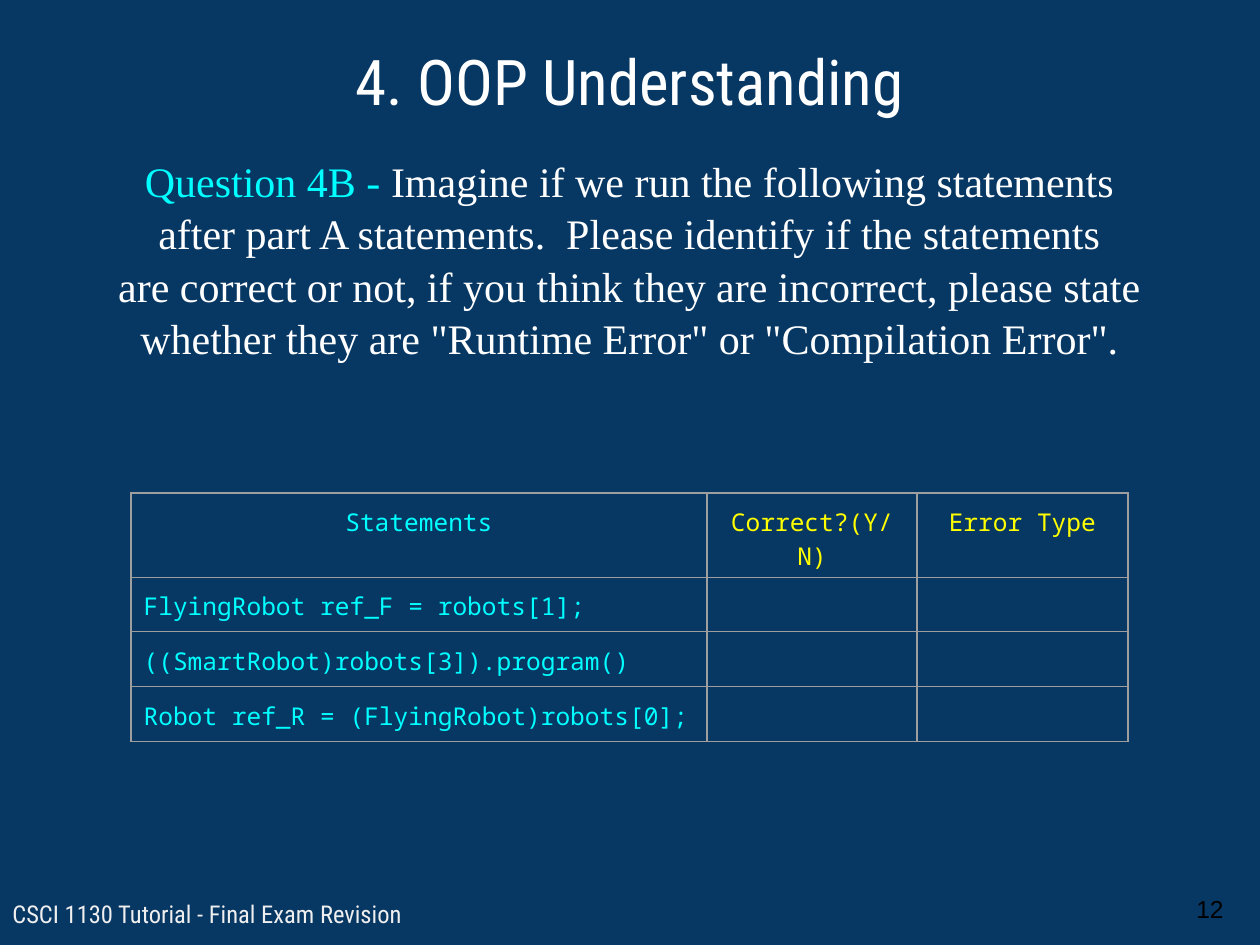
from pptx import Presentation
from pptx.dml.color import RGBColor
from pptx.enum.text import MSO_ANCHOR as ANCHOR, PP_ALIGN as ALIGN
from pptx.oxml import parse_xml
from pptx.oxml.ns import nsdecls
from pptx.util import Emu, Pt

PX = 914400 / 126  # EMU per px
NAVY = RGBColor(0x07, 0x37, 0x63)
WHITE = RGBColor(0xFF, 0xFF, 0xFF)
PALE = RGBColor(0xEF, 0xEF, 0xEF)
BLACK = RGBColor(0, 0, 0)
CYAN = RGBColor(0, 0xFF, 0xFF)
YELLOW = RGBColor(0xFF, 0xFF, 0)
BORDER = RGBColor(0x9E, 0x9E, 0x9E)
INSET = Emu(91440)


def px(n):
    return Emu(round(n * PX))


def write(p, runs, font, size, align=ALIGN.LEFT):
    p.alignment = align
    for text, color in runs:
        r = p.add_run()
        r.text = text
        for name, value in {"name": font, "size": Pt(size)}.items():
            setattr(r.font, name, value)
        r.font.color.rgb = color


prs = Presentation()
prs.slide_width, prs.slide_height = px(1260), px(945)
s = prs.slides.add_slide(prs.slide_layouts[6])
s.background.fill.solid()
s.background.fill.fore_color.rgb = NAVY

# Text boxes: footer, page number, title, question
question = [
    [("Question 4B - ", CYAN), ("Imagine if we run the following statements", WHITE)],
    [("after part A statements.  Please identify if the statements", WHITE)],
    [("are correct or not, if you think they are incorrect, please state", WHITE)],
    [('whether they are "Runtime Error" or "Compilation Error".', WHITE)],
]
boxes = [
    ((0, 886, 622, 45), "Roboto Condensed", 14, ALIGN.LEFT, ANCHOR.TOP, 1,
     [[("CSCI 1130 Tutorial - Final Exam Revision", PALE)]]),
    ((1184, 873, 76, 72), "Arial", 14, ALIGN.LEFT, ANCHOR.MIDDLE, 1, [[("12", BLACK)]]),
    ((92, 30, 1075, 111), "Roboto Condensed", 36, ALIGN.CENTER, ANCHOR.TOP, 1,
     [[("4. OOP Understanding", WHITE)]]),
    ((92, 141, 1075, 141), "Times New Roman", 24, ALIGN.CENTER, ANCHOR.TOP, 1.04, question),
]
for place, font, size, align, anchor, spacing, lines in boxes:
    tf = s.shapes.add_textbox(*map(px, place)).text_frame
    frame = {"word_wrap": True, "vertical_anchor": anchor, "margin_left": INSET,
             "margin_right": INSET, "margin_top": INSET, "margin_bottom": INSET}
    for name, value in frame.items():
        setattr(tf, name, value)
    for i, runs in enumerate(lines):
        p = tf.paragraphs[0] if i == 0 else tf.add_paragraph()
        p.line_spacing = spacing
        write(p, runs, font, size, align)

# Statement table
rows = [
    ["Statements", "Correct?(Y/N)", "Error Type"],
    ["FlyingRobot ref_F = robots[1];", "", ""],
    ["((SmartRobot)robots[3]).program()", "", ""],
    ["Robot ref_R = (FlyingRobot)robots[0];", "", ""],
]
widths = [576, 210, 211]
row_h = 53
table = s.shapes.add_table(len(rows), len(widths), px(131), px(493),
                           px(sum(widths)), px(row_h * len(rows))).table
table.first_row = table.horz_banding = False
for col, width in zip(table.columns, widths):
    col.width = px(width)
for i, texts in enumerate(rows):
    table.rows[i].height = px(row_h)
    for j, text in enumerate(texts):
        cell = table.cell(i, j)
        for side in ("left", "right", "top", "bottom"):
            setattr(cell, f"margin_{side}", INSET)
        p = cell.text_frame.paragraphs[0]
        if text:
            write(p, [(text, YELLOW if j else CYAN)], "Noto Sans Mono", 14,
                  ALIGN.LEFT if i else ALIGN.CENTER)
        else:  # keeps empty cells from growing the row
            p._p.get_or_add_endParaRPr().set("sz", "1400")
        tc_pr = cell._tc.get_or_add_tcPr()
        for edge in ("lnL", "lnR", "lnT", "lnB"):
            tc_pr.append(parse_xml(
                f'<a:{edge} {nsdecls("a")} w="{Pt(0.75)}"><a:solidFill>'
                f'<a:srgbClr val="{BORDER}"/></a:solidFill></a:{edge}>'))
        cell.fill.background()

prs.save("out.pptx")
